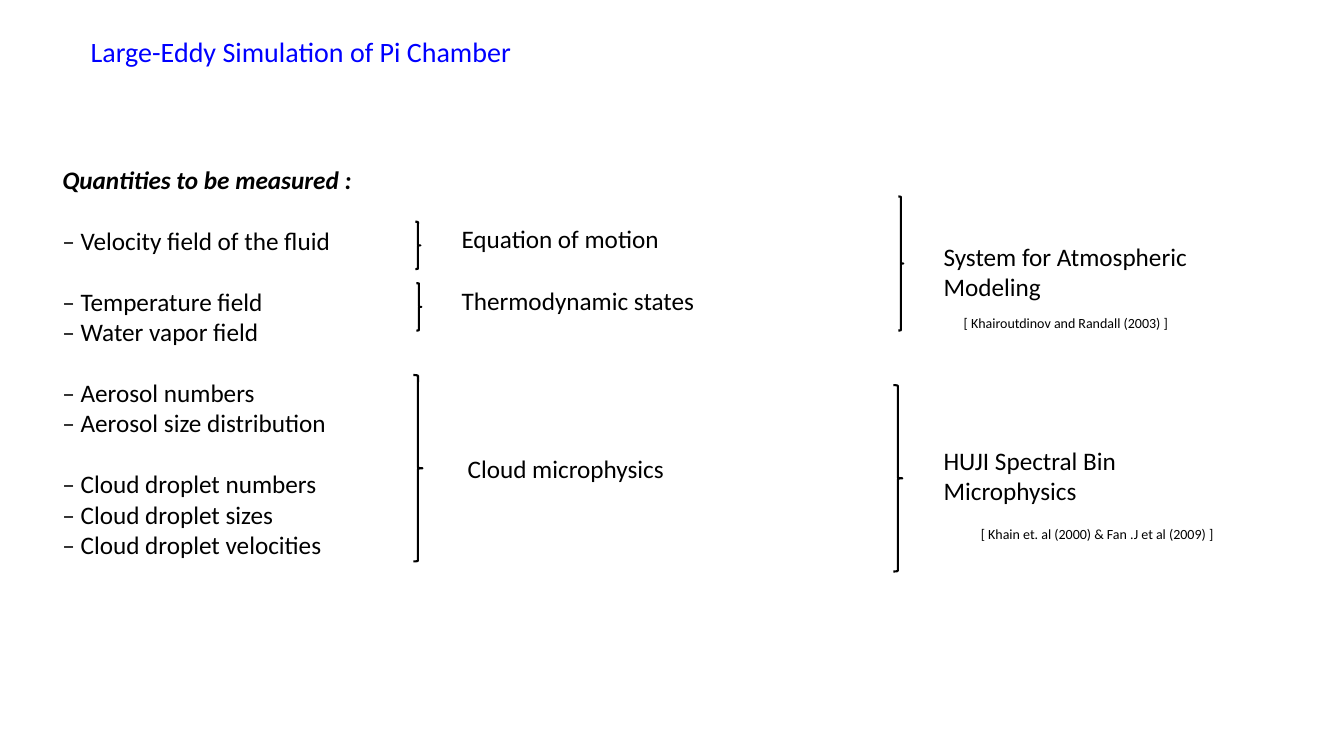
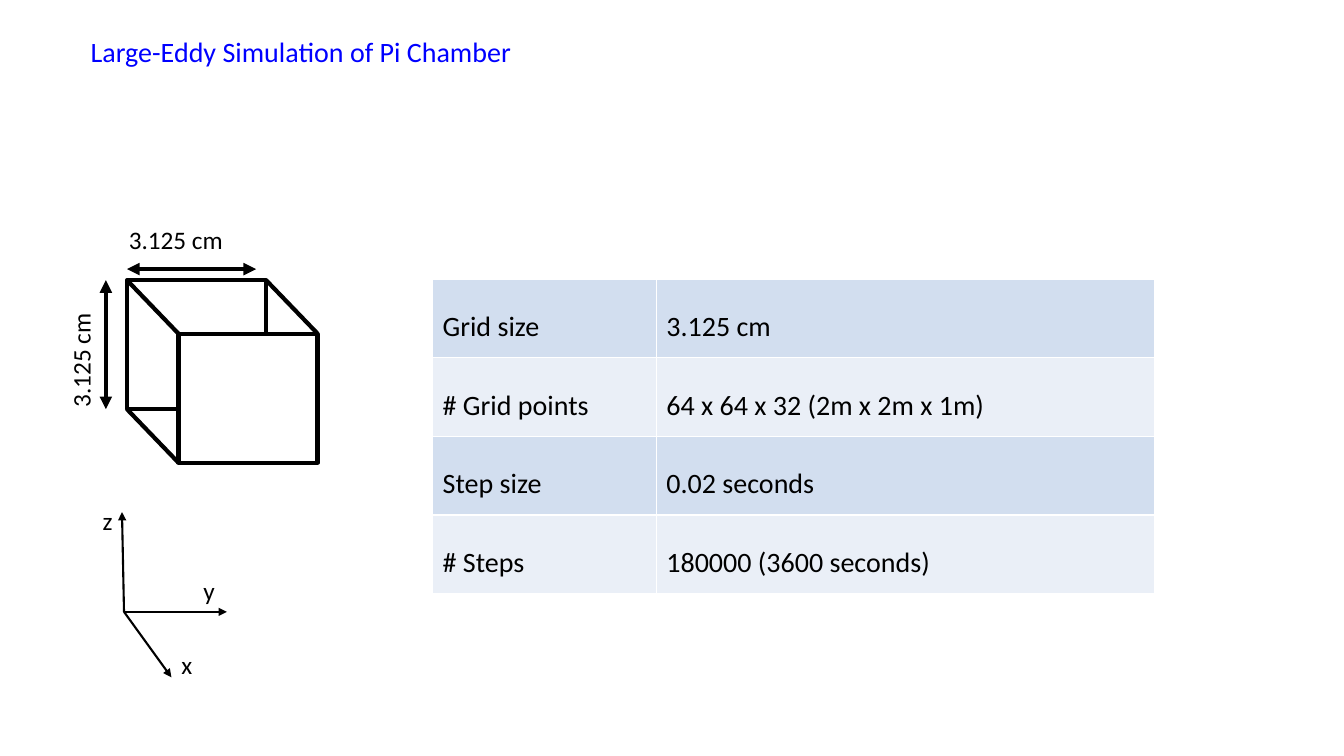
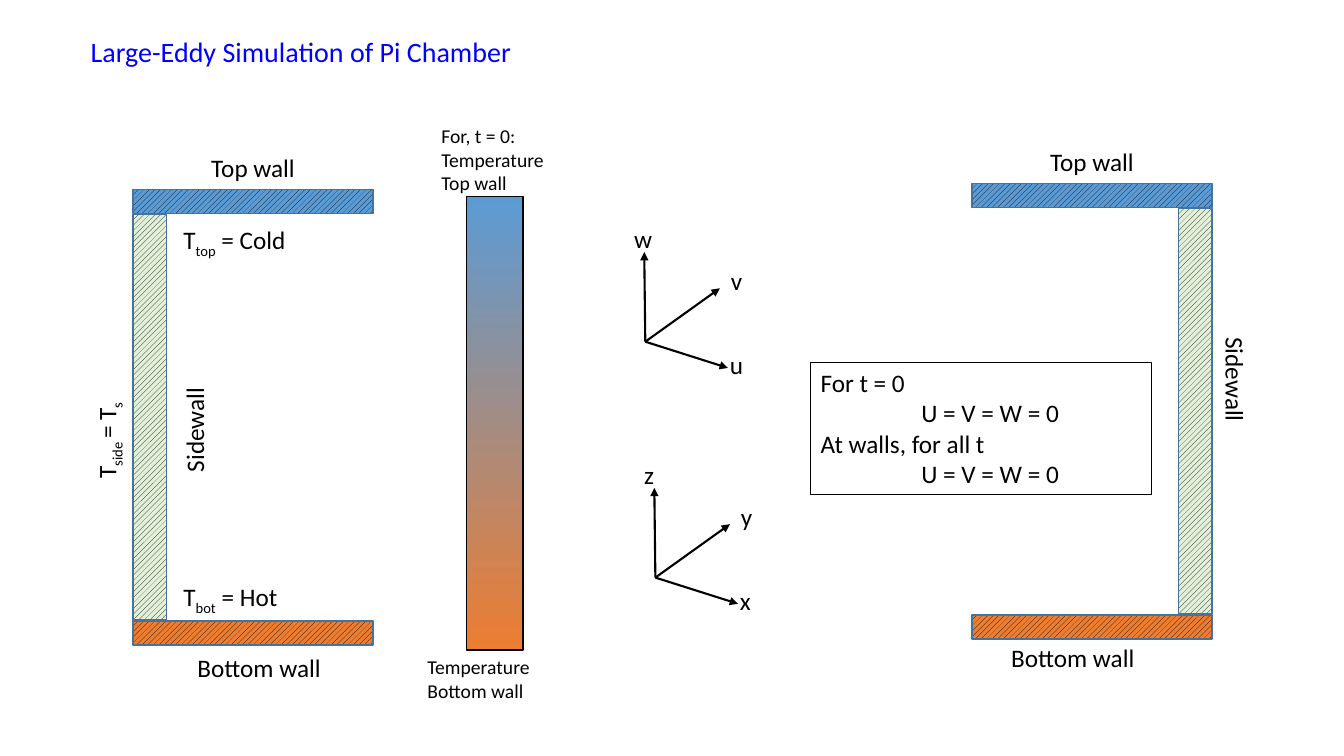
from dataclasses import dataclass

from lxml import etree
from pptx import Presentation
from pptx import util as u
from pptx.dml.color import RGBColor
from pptx.enum import dml, shapes, text
from pptx.oxml.ns import qn


@dataclass(frozen=True)
class Theme:
    font: str = "Calibri"
    title: str = "0000FF"
    ink: str = "000000"
    paper: str = "FFFFFF"
    cold: str = "5B9BD5"
    hot: str = "ED7D31"
    side: str = "E2F0D9"
    wall_edge: str = "43739E"
    bands: tuple = ("D2DEEF", "EAEFF7")
    title_pt: int = 20
    body_pt: int = 18
    small_pt: int = 14
    cite_pt: int = 10
    thin: float = 1.5
    thick: float = 3


T = Theme()
ROWS = 75  # grid rows per slide height; columns have the same pitch
BODY_LINE = 22  # height in points of one line of body text
LEFT, CENTER = text.PP_ALIGN.LEFT, text.PP_ALIGN.CENTER


def rgb(value):
    return RGBColor.from_string(value)


def write(p, content, size=T.body_pt, color=T.ink, bold=False, italic=False,
          align=LEFT, before=0, spacing=None, indent=0):
    """Fill a paragraph; every second part between bars is a subscript."""
    p.alignment = align
    if before:
        p.space_before = u.Pt(before)
    if spacing:
        p.line_spacing = spacing
    if indent:
        p._p.get_or_add_pPr().set("marL", str(indent))
    for i, part in enumerate(content.split("|")):
        if not part:
            continue
        r = p.add_run()
        r.text = part
        f = r.font
        f.name, f.size, f.bold, f.italic = T.font, u.Pt(size), bold, italic
        f.color.rgb = rgb(color)
        if i % 2:
            f._element.set("baseline", "-25000")


class Deck:
    """Holds the presentation, its grid and the current slide."""

    def __init__(self):
        self.prs = Presentation()
        self.prs.slide_width, self.prs.slide_height = u.Inches(13.33), u.Inches(7.5)
        self.cell = self.prs.slide_height / ROWS
        self.s = None

    def grid(self, *lengths):
        return [u.Emu(round(n * self.cell)) for n in lengths]

    def slide(self, title):
        self.s = self.prs.slides.add_slide(self.prs.slide_layouts[6])
        self.text(8, 2.9, 44.2, 4.4, title, size=T.title_pt, color=T.title)

    def fill_text(self, sp, lines, **fmt):
        """Lines are strings, or (string, own format) pairs."""
        tf = sp.text_frame
        tf.word_wrap = True
        for i, line in enumerate([lines] if isinstance(lines, str) else lines):
            content, own = (line, {}) if isinstance(line, str) else line
            p = tf.add_paragraph() if i else tf.paragraphs[0]
            write(p, content, **{**fmt, **own})

    def text(self, x, y, w, h, lines, turn=0, **fmt):
        sp = self.s.shapes.add_textbox(*self.grid(x, y, w, h))
        sp.rotation = turn
        self.fill_text(sp, lines, **fmt)

    def centered(self, cx, y, content, w=20, h=4.1, turn=0):
        self.text(cx - w / 2, y, w, h, content, turn, align=CENTER)

    def shape(self, x, y, w, h, kind=shapes.MSO_SHAPE.RECTANGLE,
              fill=None, line=T.ink, width=1.0):
        sp = self.s.shapes.add_shape(kind, *self.grid(x, y, w, h))
        sp.shadow.inherit = False
        if fill:
            sp.fill.solid()
            sp.fill.fore_color.rgb = rgb(fill)
        else:
            sp.fill.background()
        sp.line.color.rgb = rgb(line)
        sp.line.width = u.Pt(width)
        return sp

    def brace(self, x, y, w, h):
        self.shape(x, y, w, h, shapes.MSO_SHAPE.RIGHT_BRACE, width=T.thin)

    def hatched(self, x, y, w, h, back):
        fill = self.shape(x, y, w, h, line=T.wall_edge).fill
        fill.patterned()
        fill.pattern = dml.MSO_PATTERN.WIDE_UPWARD_DIAGONAL
        fill.fore_color.rgb, fill.back_color.rgb = rgb(T.ink), rgb(back)

    def gradient(self, x, y, w, h, top, bottom):
        fill = self.shape(x, y, w, h).fill
        fill.gradient()
        fill.gradient_angle = 270
        for stop, color in zip(fill.gradient_stops, (top, bottom)):
            stop.color.rgb = rgb(color)

    def line(self, x1, y1, x2, y2, width=T.thin, ends=()):
        c = self.s.shapes.add_connector(shapes.MSO_CONNECTOR.STRAIGHT,
                                        *self.grid(x1, y1, x2, y2))
        c.line.color.rgb = rgb(T.ink)
        c.line.width = u.Pt(width)
        ln = c.line._get_or_add_ln()
        for end in ends:
            etree.SubElement(ln, qn(f"a:{end}")).set("type", "triangle")
        etree.SubElement(c._element.spPr, qn("a:effectLst"))

    def axes(self, x, y, arms):
        """Arms are (label, tip offset, label offset) from the origin."""
        for label, (dx, dy), (lx, ly) in arms:
            self.line(x, y, x + dx, y + dy, ends=["tailEnd"])
            self.text(x + lx, y + ly, 4, 4, label)

    def chamber(self, x, y, side_dx, bottom_label, side_label, turn):
        """Walls of one half; label places are offsets from the corner."""
        w, thick, side_w, drop = 23.8, 2.4, 3.3, 42.8
        self.hatched(x + side_dx, y + 2.5, side_w, 40.2, T.side)
        self.hatched(x, y, w, thick, T.cold)
        self.hatched(x, y + drop, w, thick, T.hot)
        self.centered(x + w / 2, y - 4.2, "Top wall")
        self.centered(x + bottom_label[0], y + bottom_label[1], "Bottom wall")
        self.centered(x + side_label[0], y + side_label[1], "Sidewall", turn=turn)

    def table(self, x, y, cols, row_h, rows):
        frame = self.s.shapes.add_table(
            len(rows), len(cols), *self.grid(x, y, sum(cols), row_h * len(rows)))
        tb = frame.table
        tb.first_row = tb.horz_banding = False
        for col, w in zip(tb.columns, self.grid(*cols)):
            col.width = w
        for i, row in enumerate(rows):
            for j, content in enumerate(row):
                cell = tb.cell(i, j)
                cell.fill.solid()
                cell.fill.fore_color.rgb = rgb(T.bands[i % 2])
                cell.vertical_anchor = text.MSO_ANCHOR.MIDDLE
                write(cell.text_frame.paragraphs[0], content,
                      size=T.title_pt, spacing=1.5)


TITLE = "Large-Eddy Simulation of Pi Chamber"


def quantities(d):
    d.slide(TITLE)
    # Measured quantities; the first line of each group stands apart
    groups = [
        ["Velocity field of the fluid"],
        ["Temperature field", "Water vapor field"],
        ["Aerosol numbers", "Aerosol size distribution"],
        ["Cloud droplet numbers", "Cloud droplet sizes", "Cloud droplet velocities"],
    ]
    lines = [("Quantities to be measured :", dict(bold=True, italic=True))]
    for group in groups:
        lines += [(f"– {name}", dict(before=0 if i else BODY_LINE))
                  for i, name in enumerate(group)]
    d.text(5.2, 15.8, 47.1, 40.4, lines)

    # What describes them
    for brace, x, y, label in [
        ((41.2, 22, 0.5, 4.7), 44.8, 21.7, "Equation of motion"),
        ((41.3, 28.1, 0.5, 4.7), 44.8, 27.8, "Thermodynamic states"),
        ((41, 37.2, 0.9, 18.5), 45.4, 44.5, "Cloud microphysics"),
    ]:
        d.brace(*brace)
        d.text(x, y, 30, 4, label)

    # Models and their references
    for brace, y, w, model, cite_x, cite_y, cite in [
        ((89.1, 19.5, 0.5, 13.3), 23.4, 34, "System for Atmospheric Modeling",
         94.6, 30.7, "[ Khairoutdinov and Randall (2003) ]"),
        ((88.6, 38.2, 0.9, 18.5), 43.7, 31.5, "HUJI Spectral Bin Microphysics",
         96.3, 51.6, "[ Khain et. al (2000) & Fan .J et al (2009) ]"),
    ]:
        d.brace(*brace)
        d.text(92.6, y, w, 7.1, model)
        d.text(cite_x, cite_y, 32, 2.7, cite, size=T.cite_pt)


def grid_setup(d):
    d.slide(TITLE)
    # Grid cell drawn as a cube
    x, y, w, h, dx, dy = 12.6, 27.8, 13.8, 12.8, 5.1, 5.3
    for shift in (0, 1):
        d.shape(x + shift * dx, y + shift * dy, w, h, fill=T.paper, width=T.thick)
    for cx, cy in [(x, y), (x, y + h), (x + w, y)]:
        d.line(cx, cy, cx + dx, cy + dy, T.thick)

    # Its dimensions
    both = ["headEnd", "tailEnd"]
    d.line(10.5, y, 10.5, y + h, T.thick, both)
    d.line(x, 26.7, x + h, 26.7, T.thick, both)
    d.text(1.2, 32.6, 13.6, 4, "3.125 cm", turn=270)
    d.text(11.8, 21.8, 13.6, 4, "3.125 cm")

    d.axes(12.3, 60.7, [
        ("x", (4.7, 6.5), (4.7, 3.2)),
        ("y", (10.2, 0), (6.9, -4.1)),
        ("z", (-0.2, -9.9), (-3.1, -11.1)),
    ])
    d.table(42.9, 27.7, [22.2, 49.4], 7.8, [
        ("Grid size", "3.125 cm"),
        ("# Grid points", "64 x 64 x 32 (2m x 2m x 1m)"),
        ("Step size", "0.02 seconds"),
        ("# Steps", "180000 (3600 seconds)"),
    ])


def boundary_conditions(d):
    d.slide(TITLE)
    # Position and velocity axes
    tips = [(8.2, 2.6), (7.4, -5.3), (-0.1, -8.9)]
    labels = [(7.4, 0.3), (7.5, -8.1), (-2.1, -12.2)]
    for x, y, names in [(65, 57.3, "xyz"), (64, 33.9, "uvw")]:
        d.axes(x, y, zip(names, tips, labels))

    # Initial temperature profile
    d.gradient(46.3, 19.5, 5.6, 45, T.cold, T.hot)
    d.text(42.8, 11.8, 19.7, 8.1, ["For, t = 0:", "Temperature", "Top wall"],
           size=T.small_pt)
    d.text(41.4, 64.5, 17.9, 5.7, ["Temperature", "Bottom wall"], size=T.small_pt)

    # Both halves of the chamber
    d.chamber(13.2, 18.8, 0, (12.5, 45.4), (6.1, 21.8), 270)
    d.chamber(96.4, 18.2, 20.5, (10, 45), (26.1, 17.4), 90)

    # Wall temperatures
    d.text(17.2, 21.8, 18.1, 4, "T|top| = Cold")
    d.text(17.2, 57.2, 18.1, 4, "T|bot| = Hot")
    d.text(4.2, 40.1, 12.7, 4, "T|side |= T|s|", turn=270)

    # Velocity conditions
    still = ("U = V = W = 0", dict(indent=u.Inches(1)))
    box = d.shape(80.4, 35.9, 33.8, 13.1, width=0.25)
    d.fill_text(box, ["For t = 0", still, "At walls, for all t", still])


def main():
    d = Deck()
    quantities(d)
    grid_setup(d)
    boundary_conditions(d)
    d.prs.save("out.pptx")


if __name__ == "__main__":
    main()
